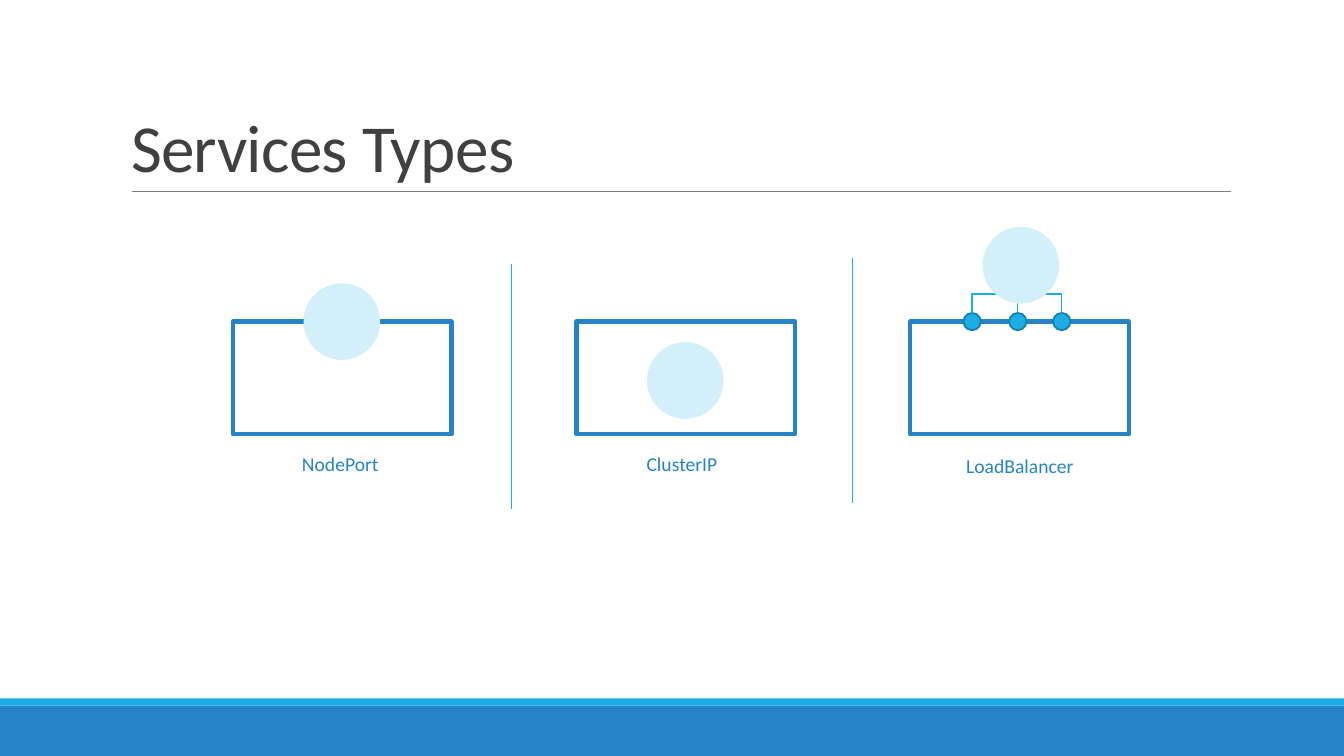
from pptx import Presentation
from pptx import util as u
from pptx.dml.color import RGBColor
from pptx.enum import shapes, text
from pptx.oxml.ns import qn
from lxml import etree

COLORS = {
    "blue": "2683C6",
    "cyan": "1CADE4",
    "edge": "1580A9",
    "pale": "D2EFFA",
    "gray": "808080",
    "ink": "404040",
}
SHAPE = shapes.MSO_SHAPE
CONNECTOR = shapes.MSO_CONNECTOR


class Slide:
    """Draws styled elements on one page, with lengths in points."""

    def __init__(self, page, font="Calibri"):
        self.page = page
        self.font = font

    def color(self, name):
        return RGBColor.from_string(COLORS[name])

    def style(self, span, size, color):
        span.font.name = self.font
        span.font.size = u.Pt(size)
        span.font.color.rgb = self.color(color)

    def title(self, words, left, top, width, height):
        box = self.page.shapes.title
        box.left, box.top = u.Pt(left), u.Pt(top)
        box.width, box.height = u.Pt(width), u.Pt(height)
        frame = box.text_frame
        frame.text = words
        frame.auto_size = text.MSO_AUTO_SIZE.NONE
        frame.vertical_anchor = text.MSO_ANCHOR.BOTTOM
        para = frame.paragraphs[0]
        para.alignment = text.PP_ALIGN.LEFT
        para.line_spacing = 0.85
        span = para.runs[0]
        self.style(span, 48, "ink")
        span.font._element.set("spc", "-50")

    def shape(self, kind, left, top, width, height, fill=None, line=None, weight=1):
        box = self.page.shapes.add_shape(
            kind, u.Pt(left), u.Pt(top), u.Pt(width), u.Pt(height))
        box.shadow.inherit = False
        if fill:
            box.fill.solid()
            box.fill.fore_color.rgb = self.color(fill)
        else:
            box.fill.background()
        if line:
            box.line.color.rgb = self.color(line)
            box.line.width = u.Pt(weight)
        else:
            box.line.fill.background()

    def circle(self, x, y, size, **look):
        self.shape(SHAPE.OVAL, x - size / 2, y - size / 2, size, size, **look)

    def line(self, x1, y1, x2, y2, color, weight=0.5, kind=CONNECTOR.STRAIGHT):
        link = self.page.shapes.add_connector(
            kind, u.Pt(x1), u.Pt(y1), u.Pt(x2), u.Pt(y2))
        link.line.color.rgb = self.color(color)
        link.line.width = u.Pt(weight)
        etree.SubElement(link._element.spPr, qn("a:effectLst"))
        return link

    def riser(self, x1, y1, x2, y2, color):
        """Draws an elbow that leaves upwards, as a quarter-turned connector."""
        x, y = (x1 + x2) / 2, (y1 + y2) / 2
        rise, run = (y1 - y2) / 2, (x2 - x1) / 2
        link = self.line(x - rise, y - run, x + rise, y + run,
                         color, 1, CONNECTOR.ELBOW)
        link._element.spPr.find(qn("a:xfrm")).set("rot", "16200000")

    def label(self, words, left, top, width, height=24.48):
        box = self.page.shapes.add_textbox(
            u.Pt(left), u.Pt(top), u.Pt(width), u.Pt(height))
        frame = box.text_frame
        frame.text = words
        frame.word_wrap = False
        frame.auto_size = text.MSO_AUTO_SIZE.SHAPE_TO_FIT_TEXT
        self.style(frame.paragraphs[0].runs[0], 14, "blue")


def main():
    deck = Presentation()
    deck.slide_width, deck.slide_height = u.Pt(960), u.Pt(540)
    slide = Slide(deck.slides.add_slide(deck.slide_layouts[5]))

    slide.shape(SHAPE.RECTANGLE, 0, 504, 960, 36, fill="blue")
    slide.shape(SHAPE.RECTANGLE, 0, 498.8, 960, 5.2, fill="cyan")
    slide.line(94.2, 136.8, 879, 136.8, "gray")
    slide.title("Services Types", 86.4, 22.3, 792, 114.5)

    cluster_top = 229.7
    for left in (166.3, 411.8, 650.2):
        slide.shape(SHAPE.RECTANGLE, left, cluster_top, 156.2, 80.6,
                    line="blue", weight=3)

    balancer_x = 728.6
    nodes = (694.4, 727, 758.4)
    for x in nodes:
        slide.circle(x, cluster_top, 12.4, fill="cyan", line="edge", weight=1.25)
    for x in nodes:
        slide.riser(x, 223.8, balancer_x, 196, "cyan")
    for x, y in ((244.2, cluster_top), (489.5, 271.8), (balancer_x + 0.6, 189.4)):
        slide.circle(x, y, 54.8, fill="pale")

    for x, top in ((365.6, 188.6), (609, 184.3)):
        slide.line(x, top, x, top + 175, "cyan")

    for words, left, top, width in (
        ("NodePort", 208.6, 319.5, 70),
        ("ClusterIP", 454.7, 319.5, 65.5),
        ("LoadBalancer", 683, 320.7, 92),
    ):
        slide.label(words, left, top, width)

    deck.save("out.pptx")


if __name__ == "__main__":
    main()
